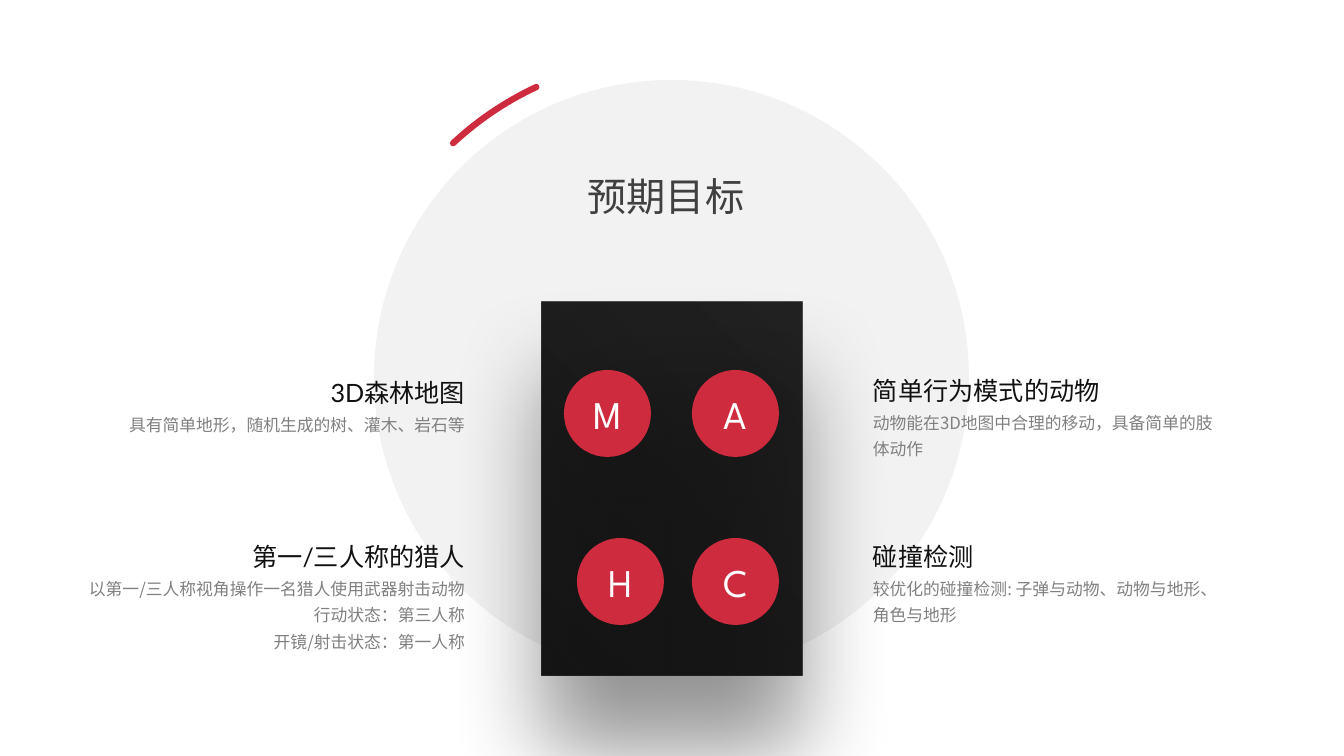
from lxml.etree import SubElement
from pptx import Presentation
from pptx.dml.color import RGBColor
from pptx.enum.lang import MSO_LANGUAGE_ID
from pptx.enum.shapes import MSO_SHAPE
from pptx.enum.text import MSO_ANCHOR, PP_ALIGN
from pptx.oxml import parse_xml
from pptx.oxml.ns import nsdecls, qn
from pptx.util import Pt

EMU_PER_PX = 914400 / 100.8
RED = "CE2B3E"
INK = "111111"
CJK_FONT = "Noto Sans CJK SC"
LEFT_EDGE, RIGHT_EDGE = 863, 475  # right-hand column starts, left-hand column ends
BODY_DROP = 41

BADGES = [("M", 564, 370), ("A", 692, 370), ("H", 577, 538), ("C", 692, 538)]

# side, top, body width, body height, heading, body lines
GOALS = [
    ("right", 361, 372, 60, "简单行为模式的动物",
     ["动物能在3D地图中合理的移动，具备简单的肢体动作"]),
    ("right", 527, 372, 60, "碰撞检测",
     ["较优化的碰撞检测: 子弹与动物、动物与地形、角色与地形"]),
    ("left", 527, 402, 87, "第一/三人称的猎人",
     ["以第一/三人称视角操作一名猎人使用武器射击动物",
      "行动状态：第三人称",
      "开镜/射击状态：第一人称"]),
    ("left", 363, 372, 34, "3D森林地图",
     ["具有简单地形，随机生成的树、灌木、岩石等"]),
]


def px(*lengths):
    return [round(length * EMU_PER_PX) for length in lengths]


def rgb(color):
    return RGBColor.from_string(color)


def add_run(paragraph, text, size, font, color):
    run = paragraph.add_run()
    run.text = text
    run.font.size = Pt(size)
    run.font.name = font
    run.font.color.rgb = rgb(color)
    run.font.language_id = MSO_LANGUAGE_ID.SIMPLIFIED_CHINESE
    latin = run.font._element.find(qn("a:latin"))
    east_asian = parse_xml(f'<a:ea {nsdecls("a")} typeface="{CJK_FONT}"/>')
    latin.addnext(east_asian)


def add_solid(slide, preset, box, color):
    solid = slide.shapes.add_shape(preset, *px(*box))
    solid.shadow.inherit = False
    solid.fill.solid()
    solid.fill.fore_color.rgb = rgb(color)
    solid.line.fill.background()
    return solid


def add_text(slide, box, lines, size, font, color, align, wrap=True):
    frame = slide.shapes.add_textbox(*px(*box)).text_frame
    frame.word_wrap = wrap
    for index, line in enumerate(lines):
        paragraph = frame.add_paragraph() if index else frame.paragraphs[0]
        paragraph.alignment = align
        paragraph.line_spacing = 1.3
        add_run(paragraph, line, size, font, color)


def add_panel(slide):
    """Dark translucent panel with a soft shadow below it."""
    panel = add_solid(slide, MSO_SHAPE.RECTANGLE, (542, 302, 260, 374), INK)
    panel.fill.gradient()
    gradient = panel._element.spPr.find(qn("a:gradFill"))
    for stop, position, alpha in zip(gradient.find(qn("a:gsLst")), (0, 98), (97, 92)):
        stop.set("pos", str(position * 1000))
        stop.remove(stop[0])
        color = SubElement(stop, qn("a:srgbClr"), val=INK)
        SubElement(color, qn("a:alpha"), val=str(alpha * 1000))
    gradient.find(qn("a:lin")).set("ang", str(315 * 60000))

    effects = panel._element.spPr.find(qn("a:effectLst"))
    shadow = SubElement(effects, qn("a:outerShdw"), blurRad=str(Pt(67)),
                        dist=str(Pt(52)), dir=str(90 * 60000), rotWithShape="0")
    shade = SubElement(shadow, qn("a:srgbClr"), val="000000")
    SubElement(shade, qn("a:alpha"), val="43000")


def add_badge(slide, letter, left, top):
    badge = add_solid(slide, MSO_SHAPE.OVAL, (left, top, 87, 87), RED)
    badge.text_frame.vertical_anchor = MSO_ANCHOR.MIDDLE
    paragraph = badge.text_frame.paragraphs[0]
    paragraph.alignment = PP_ALIGN.CENTER
    add_run(paragraph, letter, 28, "League Spartan", "FFFFFF")


def add_goal(slide, side, top, width, height, heading, body):
    on_right = side == "right"
    align = PP_ALIGN.LEFT if on_right else PP_ALIGN.RIGHT

    def box(y, w, h):
        return (LEFT_EDGE if on_right else RIGHT_EDGE - w, y, w, h)

    add_text(slide, box(top, 280, 46), [heading], 18, "Lato", INK, align)
    add_text(slide, box(top + BODY_DROP, width, height), body, 12, CJK_FONT,
             "808080", align)


def add_accent_arc(slide, start, end):
    """Red stroke around the disc, angles in degrees clockwise from the right."""
    arc = slide.shapes.add_shape(MSO_SHAPE.ARC, *px(351, 57, 642, 642))
    arc.shadow.inherit = False
    arc.fill.background()
    arc.adjustments[0] = start * 0.6
    arc.adjustments[1] = end * 0.6
    arc.line.color.rgb = rgb(RED)
    arc.line.width = Pt(4.5)
    arc.line._get_or_add_ln().set("cap", "rnd")


def main():
    deck = Presentation()
    deck.slide_width, deck.slide_height = px(1344, 756)
    slide = deck.slides.add_slide(deck.slide_layouts[6])

    add_solid(slide, MSO_SHAPE.OVAL, (374, 80, 595, 595), "F2F2F2")
    add_panel(slide)
    for goal in GOALS:
        add_goal(slide, *goal)
    add_text(slide, (577, 153, 178, 67), ["预期目标"], 28, "Lato", "404040",
             PP_ALIGN.CENTER, wrap=False)
    add_accent_arc(slide, 227, 245)
    for badge in BADGES:
        add_badge(slide, *badge)

    deck.save("out.pptx")


if __name__ == "__main__":
    main()
